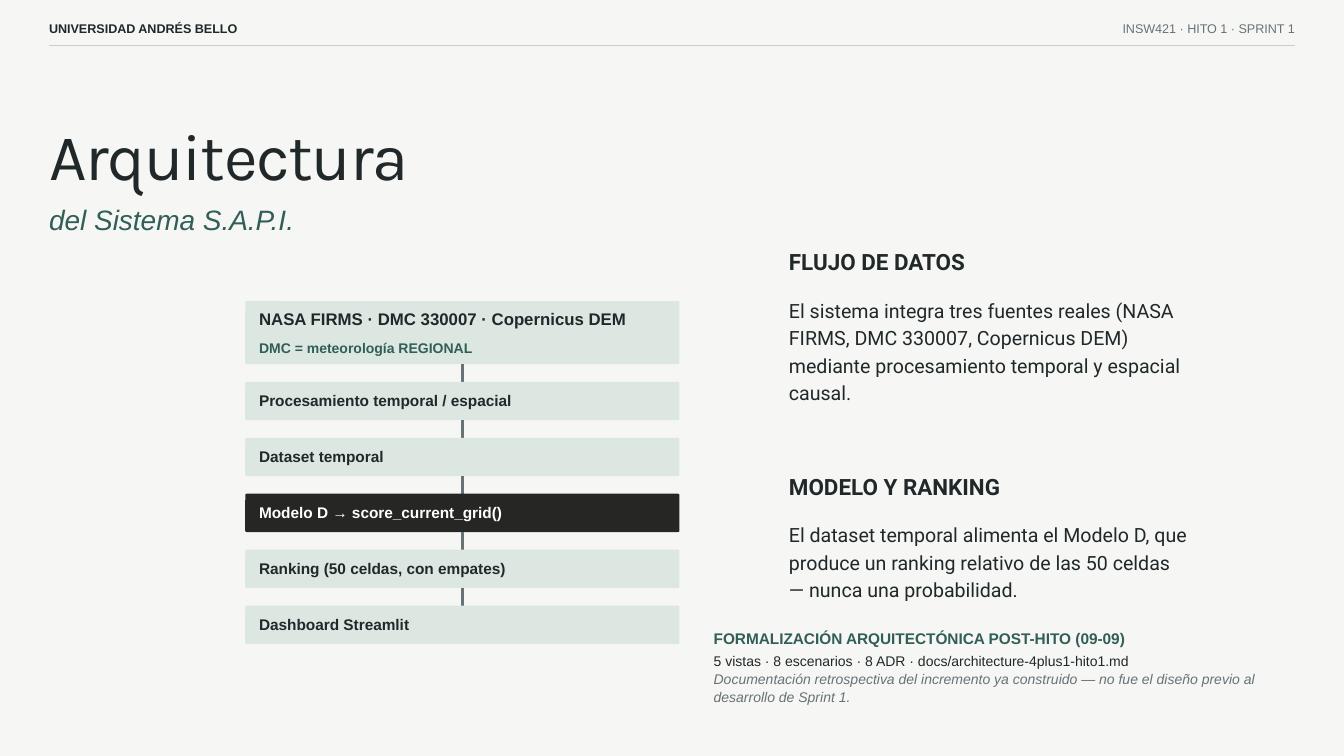
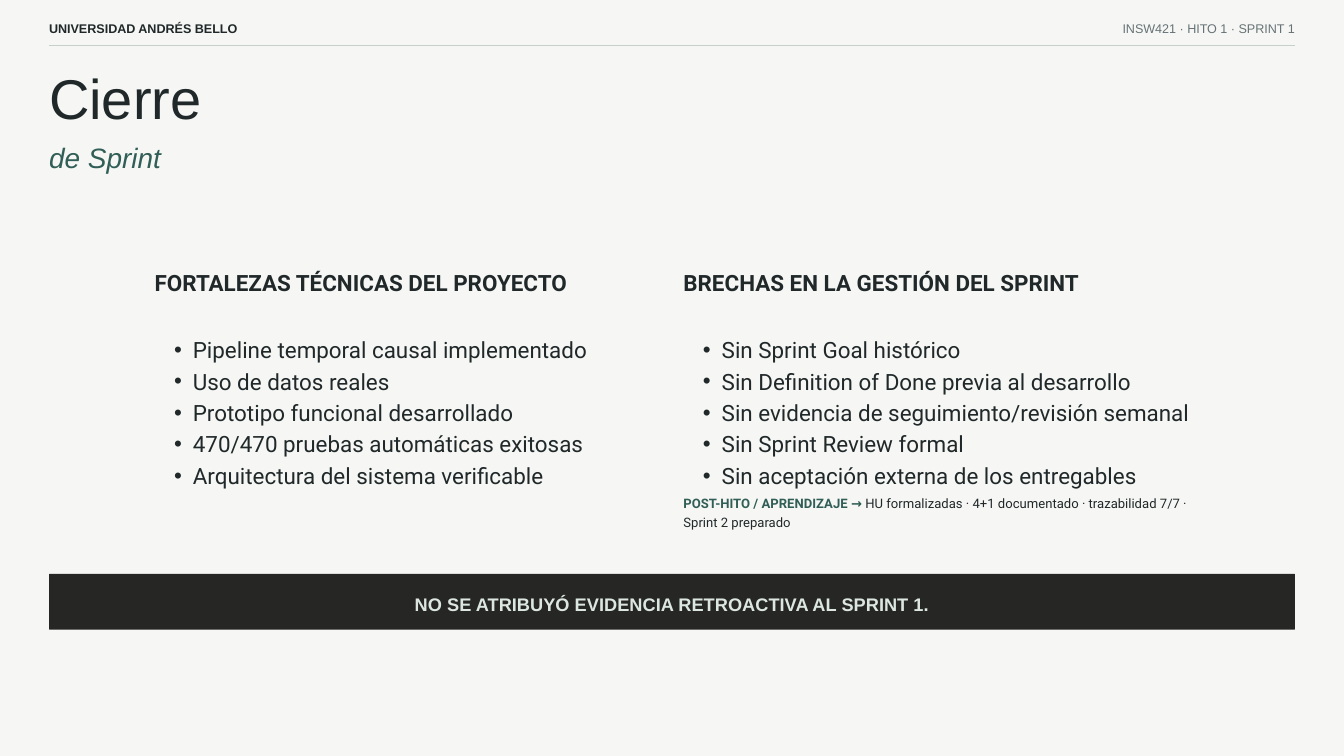
import dataclasses
import typing

import lxml.etree
import pptx
import pptx.dml.color
import pptx.enum.dml
import pptx.enum.shapes
import pptx.enum.text
import pptx.oxml.ns
import pptx.presentation
import pptx.shapes.autoshape
import pptx.slide
import pptx.text.text
import pptx.util

ALIGN = pptx.enum.text.PP_ALIGN
SHAPE = pptx.enum.shapes.MSO_SHAPE
qn = pptx.oxml.ns.qn

WIDTH = pptx.util.Inches(20)
HEIGHT = pptx.util.Inches(11.25)
CELL = WIDTH / 20  # the grid has 20 square columns
MARGIN = 0.73
CONTENT = 20 - 2 * MARGIN


class Style(typing.NamedTuple):
    size: float
    leading: float
    color: str
    font: str = "Arial"
    bold: bool = False
    italic: bool = False
    tracking: int = 0  # hundredths of a point


class Theme:
    PAPER, INK, GREEN = "F6F7F4", "20282A", "315E56"
    GREY, RULE, MINT, DARK = "667276", "C7CFCB", "DCE7E2", "262624"

    TITLE = Style(60, 84, INK)
    TITLE_KARLA = Style(70, 84, INK, "Karla", tracking=-140)
    SUBTITLE = Style(30, 42, GREEN, italic=True)
    SCHOOL = Style(13.5, 18.9, INK, bold=True)
    COURSE = Style(13.5, 18.9, GREY)
    HEADING = Style(24, 33.6, INK, "Roboto", bold=True)
    LIST_HEADING = HEADING._replace(leading=28.8)
    BODY = Style(21, 29.4, INK, "Roboto")
    BULLET = Style(24, 33.6, INK, "Roboto")
    SOURCES = Style(18, 25.2, INK, bold=True)
    SOURCE_NOTE = Style(15, 21, GREEN, bold=True)
    STEP = Style(16.5, 23.1, INK, bold=True)
    STEP_KEY = STEP._replace(color="FFFFFF")
    NOTE_HEADING = Style(16.5, 21, GREEN, bold=True)
    NOTE = Style(15, 19.5, INK)
    NOTE_ASIDE = Style(15, 19.5, GREY, italic=True)
    LESSON_LABEL = Style(14, 19.5, GREEN, "Roboto", bold=True)
    LESSON = Style(14, 19.5, INK, "Roboto")
    CLOSING = Style(19.5, 27.3, MINT, bold=True)


@dataclasses.dataclass(frozen=True)
class Box:
    """A place on the grid, in columns and rows."""
    col: float
    row: float
    cols: float
    rows: float

    def emu(self) -> list[int]:
        return [round(n * CELL) for n in dataclasses.astuple(self)]


@dataclasses.dataclass(frozen=True)
class Para:
    text: str
    style: Style
    align: ALIGN = ALIGN.LEFT
    before: float = 0
    bullet: bool = False
    tail: str = ""
    tail_style: typing.Optional[Style] = None


@dataclasses.dataclass(frozen=True)
class Step:
    """A band of the data flow."""
    paras: tuple[Para, ...]
    fill: str = Theme.MINT
    rows: float = 0.57
    inset: float = 0.09


@dataclasses.dataclass(frozen=True)
class Section:
    """A heading with its text below."""
    heading: Para
    paras: tuple[Para, ...]
    col: float
    row: float
    cols: float
    drop: float
    rows: float


def rgb(color: str) -> pptx.dml.color.RGBColor:
    return pptx.dml.color.RGBColor.from_string(color)


def format_run(r: pptx.text.text._Run, style: Style) -> None:
    r.font.name = style.font
    r.font.size = pptx.util.Pt(style.size)
    r.font.bold = style.bold
    r.font.italic = style.italic
    r.font.color.rgb = rgb(style.color)
    if style.tracking:
        r.font._element.set("spc", str(style.tracking))


def add_bullet(p: pptx.text.text._Paragraph) -> None:
    p.level = 1
    pPr = p._p.get_or_add_pPr()
    pPr.set("marL", str(round(0.57 * CELL)))
    pPr.set("indent", str(round(-0.28 * CELL)))
    lxml.etree.SubElement(pPr, qn("a:buFont")).set("typeface", "Arial")
    lxml.etree.SubElement(pPr, qn("a:buChar")).set("char", "•")


def write(tf: pptx.text.text.TextFrame, paras: typing.Sequence[Para],
          left: float = 0, top: float = 0) -> None:
    """Fill a frame from its top, with insets in columns and rows."""
    tf.text = "\n".join(para.text for para in paras)
    tf.word_wrap = True
    tf.auto_size = pptx.enum.text.MSO_AUTO_SIZE.NONE
    tf.vertical_anchor = pptx.enum.text.MSO_ANCHOR.TOP
    tf.margin_left = tf.margin_right = round(left * CELL)
    tf.margin_top, tf.margin_bottom = round(top * CELL), 0
    for p, para in zip(tf.paragraphs, paras):
        p.alignment = para.align
        p.line_spacing = pptx.util.Pt(para.style.leading)
        p.space_before = pptx.util.Pt(para.before)
        if para.bullet:
            add_bullet(p)
        format_run(p.runs[0], para.style)
        if para.tail:
            r = p.add_run()
            r.text = para.tail
            format_run(r, para.tail_style or para.style)


def add_text(s: pptx.slide.Slide, box: Box, *paras: Para) -> None:
    write(s.shapes.add_textbox(*box.emu()).text_frame, paras)


def add_band(s: pptx.slide.Slide, box: Box, fill: str, radius: float,
             paras: typing.Sequence[Para], left: float, top: float) -> None:
    sp = s.shapes.add_shape(SHAPE.ROUNDED_RECTANGLE, *box.emu())
    sp.adjustments[0] = radius / min(box.cols, box.rows)
    sp.shadow.inherit = False
    sp.fill.solid()
    sp.fill.fore_color.rgb = rgb(fill)
    sp.line.fill.background()
    write(sp.text_frame, paras, left, top)


def add_line(s: pptx.slide.Slide, box: Box, color: str, weight: float) -> None:
    x, y, w, h = box.emu()
    line = s.shapes.add_connector(
        pptx.enum.shapes.MSO_CONNECTOR.STRAIGHT, x, y, x + w, y + h)
    line.line.color.rgb = rgb(color)
    line.line.width = pptx.util.Pt(weight)
    lxml.etree.SubElement(line._element.spPr, qn("a:effectLst"))


def add_section(s: pptx.slide.Slide, section: Section) -> None:
    c, w = section.col, section.cols
    add_text(s, Box(c, section.row, w, 0.43), section.heading)
    add_text(s, Box(c, section.row + section.drop, w, section.rows),
             *section.paras)


def add_slide(prs: pptx.presentation.Presentation, title: Para,
              subtitle: str, row: float) -> pptx.slide.Slide:
    """Add a slide with the running header, and its title from the given row."""
    s = prs.slides.add_slide(prs.slide_layouts.get_by_name("Title Only"))
    sp = s.shapes.title
    sp.left, sp.top, sp.width, sp.height = Box(MARGIN, row, CONTENT, 1.16).emu()
    write(sp.text_frame, [title])
    add_text(s, Box(MARGIN, row + 1.22, CONTENT, 0.58),
             Para(subtitle, Theme.SUBTITLE))

    add_line(s, Box(MARGIN, 0.68, CONTENT, 0), Theme.RULE, 1.25)
    side = 5.21
    add_text(s, Box(MARGIN, 0.27, side, 0.26),
             Para("UNIVERSIDAD ANDRÉS BELLO", Theme.SCHOOL))
    add_text(s, Box(20 - MARGIN - side, 0.27, side, 0.26),
             Para("INSW421 · HITO 1 · SPRINT 1", Theme.COURSE, ALIGN.RIGHT))
    return s


def add_flow(s: pptx.slide.Slide, steps: typing.Sequence[Step]) -> None:
    """Stack the steps, joined by short lines."""
    col, row, cols, gap = 3.65, 4.48, 6.46, 0.2625
    for i, step in enumerate(steps):
        if i:
            add_line(s, Box(col + cols / 2, row, 0, gap), Theme.GREY, 3)
            row += gap
        add_band(s, Box(col, row, cols, step.rows), step.fill, 0.02,
                 step.paras, 0.2, step.inset)
        row += step.rows


def build_architecture(prs: pptx.presentation.Presentation) -> None:
    s = add_slide(prs, Para("Arquitectura", Theme.TITLE_KARLA),
                  "del Sistema S.A.P.I.", 1.71)
    sources = (
        Para("NASA FIRMS · DMC 330007 · Copernicus DEM", Theme.SOURCES),
        Para("DMC = meteorología REGIONAL", Theme.SOURCE_NOTE, before=8),
    )
    add_flow(s, [
        Step(sources, rows=0.94, inset=0.06),
        Step((Para("Procesamiento temporal / espacial", Theme.STEP),)),
        Step((Para("Dataset temporal", Theme.STEP),)),
        Step((Para("Modelo D → score_current_grid()", Theme.STEP_KEY),),
             Theme.DARK),
        Step((Para("Ranking (50 celdas, con empates)", Theme.STEP),)),
        Step((Para("Dashboard Streamlit", Theme.STEP),)),
    ])

    topics = [
        ("FLUJO DE DATOS",
         "El sistema integra tres fuentes reales (NASA FIRMS, DMC 330007, "
         "Copernicus DEM) mediante procesamiento temporal y espacial causal."),
        ("MODELO Y RANKING",
         "El dataset temporal alimenta el Modelo D, que produce un ranking "
         "relativo de las 50 celdas — nunca una probabilidad."),
    ]
    for i, (heading, body) in enumerate(topics):
        add_section(s, Section(
            Para(heading, Theme.HEADING), (Para(body, Theme.BODY),),
            col=11.74, row=3.63 + 3.34 * i, cols=5.96, drop=0.76, rows=1.59))

    add_section(s, Section(
        Para("FORMALIZACIÓN ARQUITECTÓNICA POST-HITO (09-09)",
             Theme.NOTE_HEADING),
        (Para("5 vistas · 8 escenarios · 8 ADR · "
              "docs/architecture-4plus1-hito1.md", Theme.NOTE),
         Para("Documentación retrospectiva del incremento ya construido — "
              "no fue el diseño previo al desarrollo de Sprint 1.",
              Theme.NOTE_ASIDE)),
        col=10.62, row=9.35, cols=8.33, drop=0.34, rows=0.98))


def build_closing(prs: pptx.presentation.Presentation) -> None:
    s = add_slide(prs, Para("Cierre", Theme.TITLE), "de Sprint", 0.78)
    strengths = [
        "Pipeline temporal causal implementado",
        "Uso de datos reales",
        "Prototipo funcional desarrollado",
        "470/470 pruebas automáticas exitosas",
        "Arquitectura del sistema verificable",
    ]
    gaps = [
        "Sin Sprint Goal histórico",
        "Sin Definition of Done previa al desarrollo",
        "Sin evidencia de seguimiento/revisión semanal",
        "Sin Sprint Review formal",
        "Sin aceptación externa de los entregables",
    ]
    lesson = Para(
        "POST-HITO / APRENDIZAJE → ", Theme.LESSON_LABEL, before=5,
        tail="HU formalizadas · 4+1 documentado · trazabilidad 7/7 · "
             "Sprint 2 preparado", tail_style=Theme.LESSON)
    columns = [
        ("FORTALEZAS TÉCNICAS DEL PROYECTO", strengths, ()),
        ("BRECHAS EN LA GESTIÓN DEL SPRINT", gaps, (lesson,)),
    ]
    for i, (heading, items, extra) in enumerate(columns):
        bullets = tuple(Para(t, Theme.BULLET, bullet=True) for t in items)
        add_section(s, Section(
            Para(heading, Theme.LIST_HEADING), bullets + extra,
            col=2.3 + 7.87 * i, row=4, cols=7.53, drop=0.94, rows=2.72))

    add_band(s, Box(MARGIN, 8.54, CONTENT, 0.83), Theme.DARK, 0.01,
             [Para("NO SE ATRIBUYÓ EVIDENCIA RETROACTIVA AL SPRINT 1.",
                   Theme.CLOSING, ALIGN.CENTER)], 0, 0.23)


def main() -> None:
    prs = pptx.Presentation()
    prs.slide_width, prs.slide_height = WIDTH, HEIGHT
    fill = prs.slide_master.background.fill
    fill.solid()
    fill.fore_color.rgb = rgb(Theme.PAPER)
    build_architecture(prs)
    build_closing(prs)
    prs.save("out.pptx")


if __name__ == "__main__":
    main()
